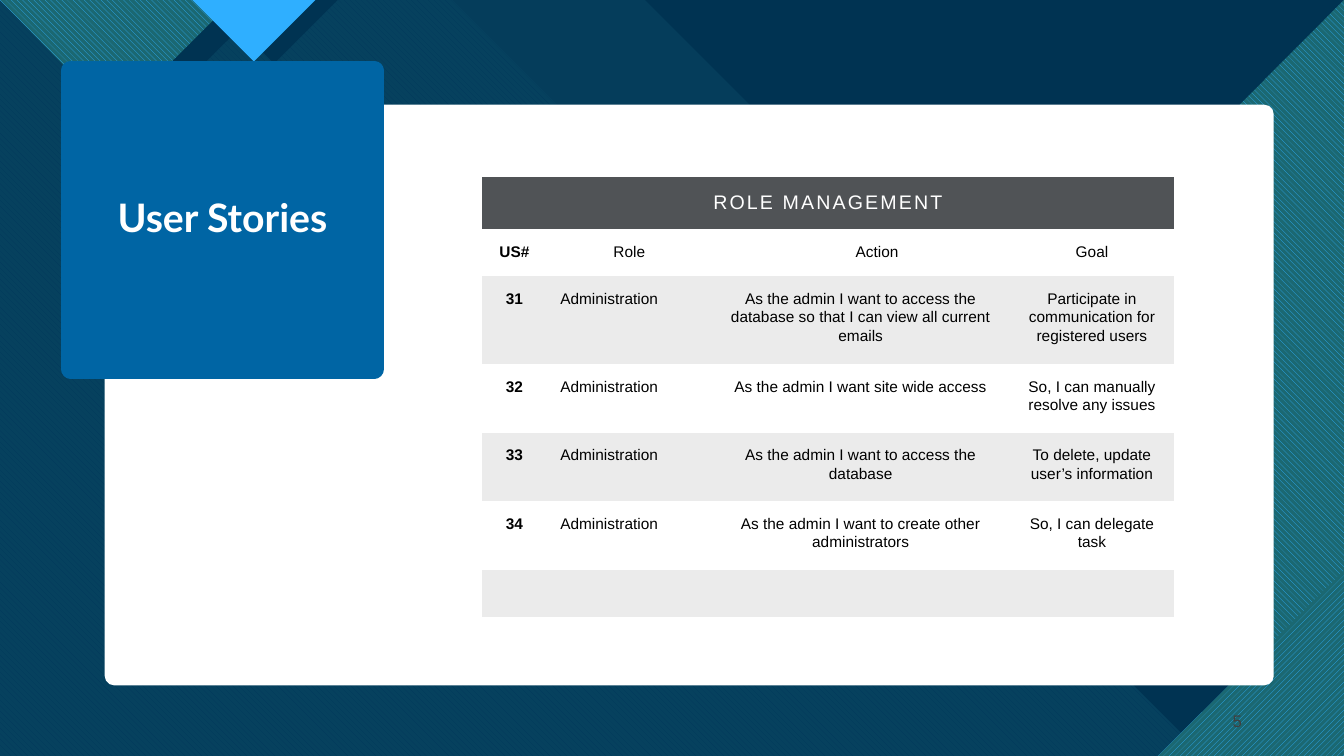
from lxml import etree
from pptx import Presentation
from pptx.dml.color import RGBColor
from pptx.enum import dml, shapes, text
from pptx.oxml import ns
from pptx.util import Cm, Pt

NAVY = RGBColor(0x00, 0x33, 0x52)
DEEP_BLUE = RGBColor(0x0C, 0x43, 0x60)
BLUE = RGBColor(0x00, 0x65, 0xA4)
SKY = RGBColor(0x2F, 0xAF, 0xFF)
TEAL = RGBColor(0x1B, 0x68, 0x72)
AQUA = RGBColor(0x47, 0xC3, 0xD3)
WHITE = RGBColor(0xFF, 0xFF, 0xFF)
BLACK = RGBColor(0x00, 0x00, 0x00)
HEADER_GRAY = RGBColor(0x50, 0x53, 0x56)
BAND_GRAY = RGBColor(0xEB, 0xEB, 0xEB)
NUMBER_GRAY = RGBColor(0x40, 0x40, 0x40)
DOWN = dml.MSO_PATTERN.WIDE_DOWNWARD_DIAGONAL
UP = dml.MSO_PATTERN.WIDE_UPWARD_DIAGONAL
WIDTH, HEIGHT = 33.87, 19.05

presentation = Presentation()
presentation.slide_width = Cm(WIDTH)
presentation.slide_height = Cm(HEIGHT)
slide = presentation.slides.add_slide(presentation.slide_layouts[5])
slide.background.fill.solid()
slide.background.fill.fore_color.rgb = DEEP_BLUE


def add_polygon(points, color, pattern=None, back_color=None, opacity=100):
    corners = [(Cm(x), Cm(y)) for x, y in points]
    builder = slide.shapes.build_freeform(*corners[0], scale=1.0)
    builder.add_line_segments(corners[1:], close=True)
    shape = builder.convert_to_shape()
    shape.shadow.inherit = False
    shape.line.fill.background()
    if pattern is None:
        shape.fill.solid()
        shape.fill.fore_color.rgb = color
    else:
        shape.fill.patterned()
        shape.fill.pattern = pattern
        shape.fill.fore_color.rgb = color
        shape.fill.back_color.rgb = back_color
    if opacity < 100:
        color_element = shape._element.spPr.find(".//" + ns.qn("a:srgbClr"))
        etree.SubElement(color_element, ns.qn("a:alpha"), val=str(opacity * 1000))


def add_run(paragraph, content, size, color, bold=False, font="Arial"):
    run = paragraph.add_run()
    run.text = content
    run.font.name = font
    run.font.size = Pt(size)
    run.font.bold = bold
    run.font.color.rgb = color
    return run


add_polygon([(0, 0), (20.98, 0), (28.52, 7.54), (31.37, 7.54), (WIDTH, 10.06),
             (WIDTH, HEIGHT), (0, HEIGHT)], AQUA, opacity=74)
add_polygon([(0, 0), (11.4, 0), (18.95, 7.54), (22.15, 7.54), (33.66, HEIGHT),
             (0, HEIGHT)], BLUE, DOWN, AQUA)
add_polygon([(16.26, 0), (WIDTH, 0), (WIDTH, 17.61)], NAVY)
add_polygon([(0, 0), (17.65, 0), (25.2, 7.54), (28.4, 7.54), (WIDTH, 13.03),
             (WIDTH, HEIGHT), (0, HEIGHT)], NAVY, opacity=90)
add_polygon([(WIDTH, 1.73), (WIDTH, HEIGHT), (30.35, HEIGHT), (23.44, 12.14)], NAVY)
add_polygon([(WIDTH, 0), (WIDTH, HEIGHT), (32.99, HEIGHT), (23.93, 9.98)], SKY, DOWN, TEAL)
add_polygon([(WIDTH, 14.38), (WIDTH, HEIGHT), (29.18, HEIGHT)], SKY, UP, TEAL)
add_polygon([(0.74, 0), (6.76, 0), (3.73, 3)], NAVY)
add_polygon([(0, 0), (5.89, 0), (2.9, 2.97)], SKY, DOWN, TEAL)
add_polygon([(5.31, 0), (8.51, 0), (6.91, 1.6)], NAVY)
add_polygon([(4.85, 0), (7.95, 0), (6.4, 1.55)], SKY)

panel = slide.shapes.add_shape(shapes.MSO_SHAPE.ROUNDED_RECTANGLE,
                               Cm(2.64), Cm(2.64), Cm(29.46), Cm(14.63))
panel.adjustments[0] = 0.016
panel.shadow.inherit = False
panel.fill.solid()
panel.fill.fore_color.rgb = WHITE
panel.line.fill.background()

title = slide.shapes.title
slide.shapes._spTree.append(title._element)
title.left, title.top, title.width, title.height = Cm(1.78), Cm(1.78), Cm(7.65), Cm(7.52)
title.fill.solid()
title.fill.fore_color.rgb = BLUE
title.line.color.rgb = BLUE
title.line.width = Pt(13.75)
etree.SubElement(title.line._get_or_add_ln(), ns.qn("a:round"))
title.text_frame.word_wrap = True
title.text_frame.vertical_anchor = text.MSO_ANCHOR.MIDDLE
paragraph = title.text_frame.paragraphs[0]
paragraph.alignment = text.PP_ALIGN.CENTER
paragraph.line_spacing = 0.9
add_run(paragraph, "User Stories", 28, WHITE, True, "Lato")

number_box = slide.shapes.add_textbox(Cm(23.93), Cm(17.65), Cm(7.62), Cm(1.02))
number_box.text_frame.word_wrap = True
number_box.text_frame.vertical_anchor = text.MSO_ANCHOR.MIDDLE
paragraph = number_box.text_frame.paragraphs[0]
paragraph.alignment = text.PP_ALIGN.RIGHT
paragraph.space_after = Pt(6)
add_run(paragraph, "5", 12, NUMBER_GRAY)

stories = [
    ("ROLE MANAGEMENT", "", "", ""),
    ("US#", "Role", "Action", "Goal"),
    ("31", "Administration",
     "As the admin I want to access the database so that I can view all current emails",
     "Participate in communication for registered users"),
    ("32", "Administration", "As the admin I want site wide access",
     "So, I can manually resolve any issues"),
    ("33", "Administration", "As the admin I want to access the database",
     "To delete, update user’s information"),
    ("34", "Administration", "As the admin I want to create other administrators",
     "So, I can delegate task"),
    ("", "", "", ""),
]
column_widths = [1.65, 4.14, 7.52, 4.14]
row_heights = [1.32, 1.19, 2.21, 1.73, 1.73, 1.73, 1.19]
table_frame = slide.shapes.add_table(len(stories), len(column_widths), Cm(12.14), Cm(4.45),
                                     Cm(sum(column_widths)), Cm(sum(row_heights)))
table = table_frame.table
table.first_row = False
table.horz_banding = False
NO_GRID_STYLE = "{2D5ABB26-0587-4C30-8999-92F81FD0307C}"
table._tbl.tblPr.find(ns.qn("a:tableStyleId")).text = NO_GRID_STYLE
for column, width in zip(table.columns, column_widths):
    column.width = Cm(width)
for row, height in zip(table.rows, row_heights):
    row.height = Cm(height)
table.cell(0, 0).merge(table.cell(0, 3))

for row_index, story in enumerate(stories):
    for column_index, content in enumerate(story):
        cell = table.cell(row_index, column_index)
        if row_index % 2 and row_index:
            cell.fill.background()
        else:
            cell.fill.solid()
            cell.fill.fore_color.rgb = BAND_GRAY if row_index else HEADER_GRAY
        if not content:
            continue
        cell.margin_left = cell.margin_right = Cm(0.33)
        cell.margin_top = cell.margin_bottom = Cm(0.33)
        paragraph = cell.text_frame.paragraphs[0]
        paragraph.line_spacing = 1.07
        is_role = column_index == 1 and row_index > 1
        paragraph.alignment = text.PP_ALIGN.LEFT if is_role else text.PP_ALIGN.CENTER
        if row_index == 0:
            run = add_run(paragraph, content, 14, WHITE)
            run.font._element.set("spc", "150")
        else:
            add_run(paragraph, content, 11, BLACK, column_index == 0)
        if content == "Action":
            paragraph._p.get_or_add_pPr().set("marL", str(Cm(0.83)))

presentation.save("out.pptx")
